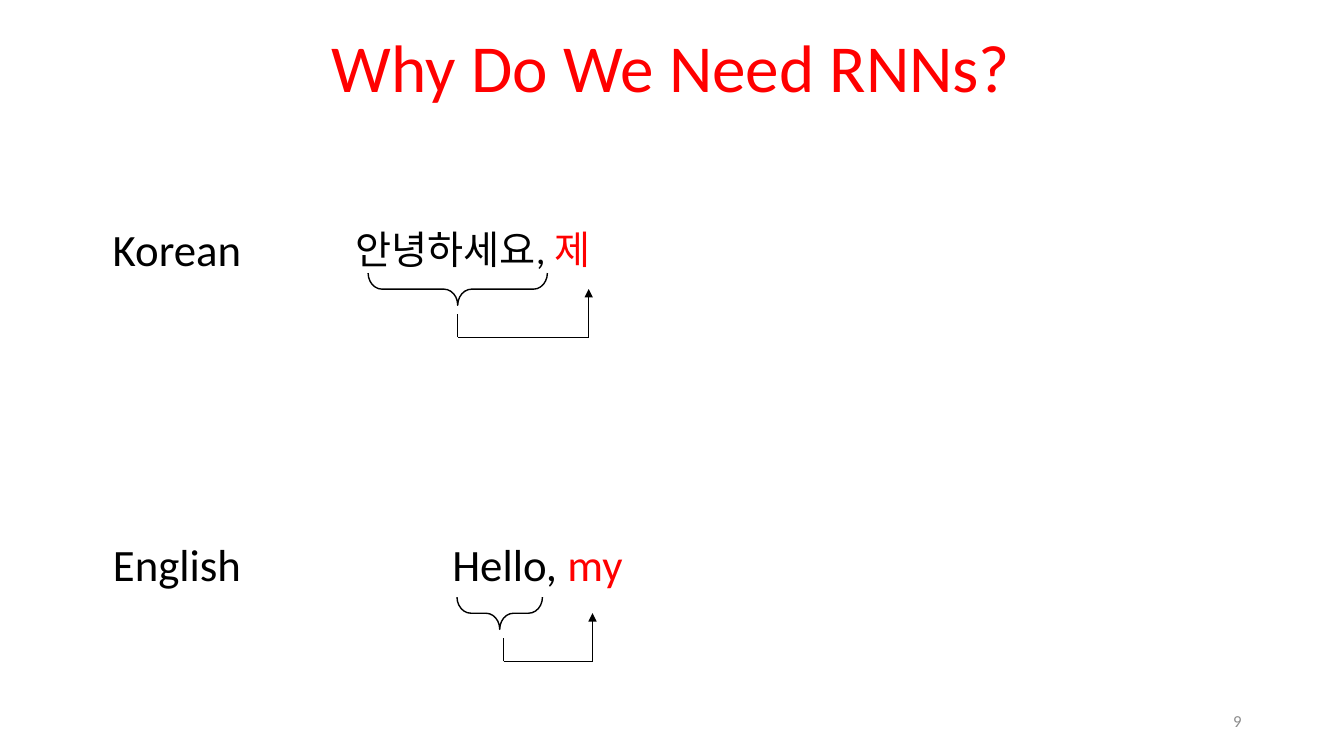
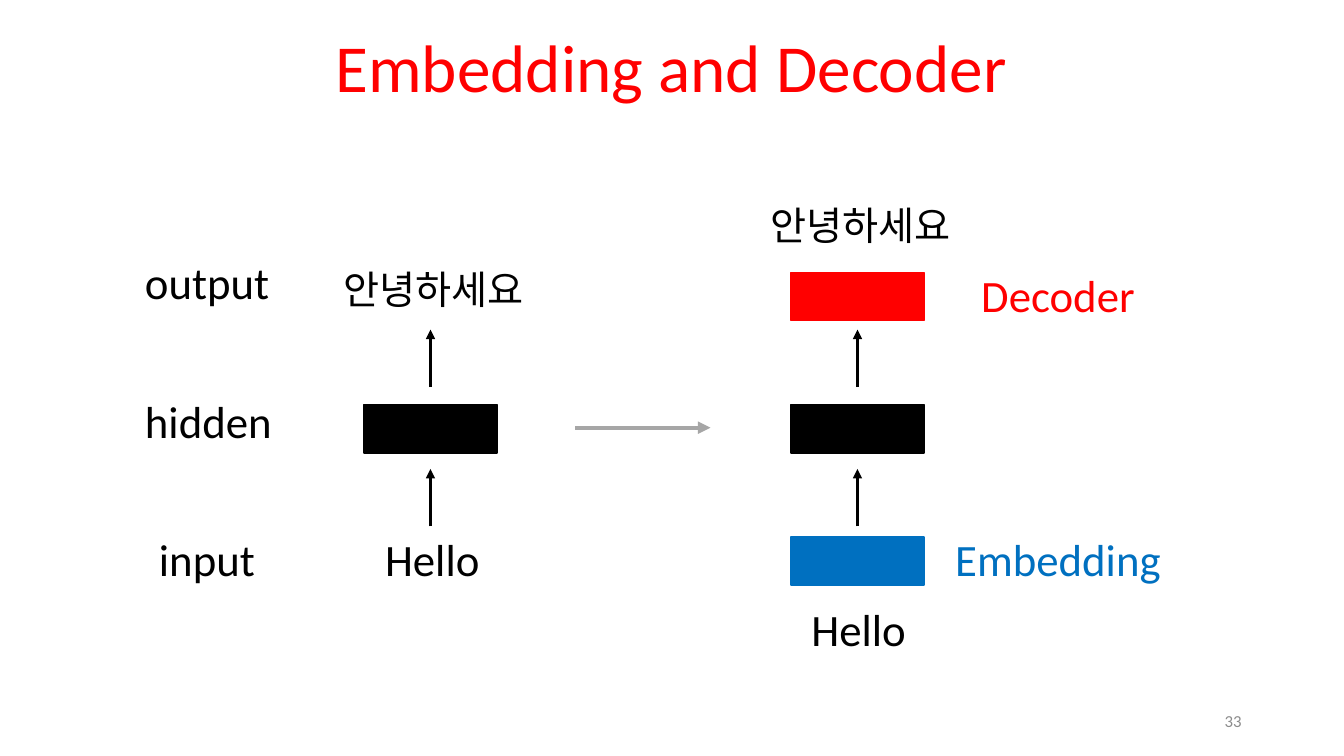
from dataclasses import dataclass

import pptx
import pptx.dml.color
import pptx.enum.shapes
import pptx.enum.text
import pptx.oxml.ns
import pptx.slide
import pptx.util
from lxml import etree

Pt = pptx.util.Pt
RGB = pptx.dml.color.RGBColor
Align = pptx.enum.text.PP_ALIGN
Anchor = pptx.enum.text.MSO_ANCHOR
Fit = pptx.enum.text.MSO_AUTO_SIZE
Shape = pptx.enum.shapes.MSO_SHAPE
Slide = pptx.slide.Slide
qn = pptx.oxml.ns.qn

BLACK = RGB(0x00, 0x00, 0x00)
RED = RGB(0xFF, 0x00, 0x00)
BLUE = RGB(0x00, 0x70, 0xC0)
GRAY = RGB(0xA6, 0xA6, 0xA6)
DIM = RGB(0x8C, 0x8C, 0x8C)
FONT = "Calibri"

BOX_W, BOX_H = 95, 34.5
BOX_TOP, BOX_STEP = 194.5, 94.5
LABEL_TOP, LABEL_STEP = 178.5, 99
ARROW_TOP, ARROW_STEP, ARROW_LEN = 235.5, 99.5, 41
FLOW_X, NET_X = 307.5, 612.5


@dataclass
class Phrase:
    """One sentence with a brace under the known words and a hook to the next."""
    label: str
    label_top: float
    known: str
    word: str
    left: float
    top: float
    width: float
    size: float
    brace_x: float
    brace_y: float
    span: float
    stem_x: float
    tip_x: float


@dataclass
class Note:
    words: str
    left: float
    top: float
    width: float
    size: float = 32
    color: RGB = BLACK
    align: Align = Align.LEFT


PHRASES = [
    Phrase("Korean", 155, "안녕하세요, ", "제", 247, 157.5, 464.5, 28,
           327, 206.5, 128, 327, 420.5),
    Phrase("English", 380, "Hello, ", "my", 316, 380, 327.5, 32,
           357, 438, 61, 359.75, 423.25),
]

NOTES = [
    Note("Hello", 268, 376.5, 83.5),
    Note("안녕하세요", 232, 186, 156, 28, align=Align.CENTER),
    Note("Hello", 572.5, 426, 83.5),
    Note("안녕하세요", 536.5, 140.5, 156, 28, align=Align.CENTER),
    Note("Embedding", 674.5, 376, 162.5, color=BLUE, align=Align.CENTER),
    Note("Decoder", 674.5, 188, 162.5, color=RED, align=Align.CENTER),
]

LABELS = [("output", 96.5, 108.5), ("hidden", 96.5, 108.5), ("input", 106.5, 83.5)]


def add_text(slide: Slide, *runs: tuple[str, RGB], left: float, top: float,
             width: float, height: float = 46, size: float = 32,
             align: Align = Align.LEFT, anchor: Anchor = Anchor.TOP,
             grow: bool = True, space: float = 1.0) -> None:
    """Put one paragraph of coloured runs in a text box."""
    box = slide.shapes.add_textbox(Pt(left), Pt(top), Pt(width), Pt(height))
    frame = box.text_frame
    frame.word_wrap = True
    frame.auto_size = Fit.SHAPE_TO_FIT_TEXT if grow else Fit.NONE
    frame.vertical_anchor = anchor
    para = frame.paragraphs[0]
    para.alignment = align
    para.line_spacing = space
    for words, color in runs:
        run = para.add_run()
        run.text = words
        run.font.name = FONT
        run.font.size = Pt(size)
        run.font.color.rgb = color


def add_line(slide: Slide, start: tuple[float, float], end: tuple[float, float],
             color: RGB = BLACK, weight: float = 1, head: bool = False) -> None:
    line = slide.shapes.add_connector(
        pptx.enum.shapes.MSO_CONNECTOR.STRAIGHT,
        Pt(start[0]), Pt(start[1]), Pt(end[0]), Pt(end[1]))
    line.line.color.rgb = color
    line.line.width = Pt(weight)
    props = line.element.spPr
    if head:
        etree.SubElement(props.find(qn("a:ln")), qn("a:tailEnd"), type="triangle")
    etree.SubElement(props, qn("a:effectLst"))


def add_box(slide: Slide, mid: float, row: int, color: RGB) -> None:
    box = slide.shapes.add_shape(
        Shape.RECTANGLE, Pt(mid - BOX_W / 2), Pt(BOX_TOP + row * BOX_STEP),
        Pt(BOX_W), Pt(BOX_H))
    box.shadow.inherit = False
    box.fill.solid()
    box.fill.fore_color.rgb = color
    box.line.color.rgb = color
    box.line.width = Pt(1)


def add_brace(slide: Slide, mid: float, level: float, span: float) -> None:
    """Draw a brace that opens upward, centred on the given point."""
    depth = 23
    brace = slide.shapes.add_shape(
        Shape.LEFT_BRACE, Pt(mid - depth / 2), Pt(level - span / 2),
        Pt(depth), Pt(span))
    brace.rotation = 270
    brace.adjustments[0] = 0.43
    brace.adjustments[1] = 0.5
    brace.shadow.inherit = False
    brace.fill.background()
    brace.line.color.rgb = BLACK
    brace.line.width = Pt(1)


def add_phrase(slide: Slide, item: Phrase) -> None:
    add_text(slide, (item.label, BLACK), left=70, top=item.label_top, width=113,
             align=Align.CENTER)
    add_text(slide, (item.known, BLACK), (item.word, RED), left=item.left,
             top=item.top, width=item.width, size=item.size)
    add_brace(slide, item.brace_x, item.brace_y, item.span)
    base = item.brace_y + 34.5
    add_line(slide, (item.stem_x, base), (item.stem_x, base - 17))
    add_line(slide, (item.stem_x, base), (item.tip_x, base))
    add_line(slide, (item.tip_x, base), (item.tip_x, item.brace_y), head=True)


def add_page(deck: pptx.presentation.Presentation, title: str, number: int) -> Slide:
    """Add a blank slide with the shared title and page number."""
    slide = deck.slides.add_slide(deck.slide_layouts[6])
    add_text(slide, (str(number), DIM), left=678, top=500.5, width=216, height=29,
             size=12, align=Align.RIGHT, anchor=Anchor.MIDDLE, grow=False)
    add_text(slide, (title, RED), left=65.5, top=1.5, width=828, height=78.5,
             size=48, align=Align.CENTER, anchor=Anchor.BOTTOM, grow=False,
             space=0.9)
    return slide


def draw_need(slide: Slide) -> None:
    for item in PHRASES:
        add_phrase(slide, item)


def draw_net(slide: Slide) -> None:
    for row, (words, left, width) in enumerate(LABELS):
        add_text(slide, (words, BLACK), left=left,
                 top=LABEL_TOP + row * LABEL_STEP, width=width)
    for note in NOTES:
        add_text(slide, (note.words, note.color), left=note.left, top=note.top,
                 width=note.width, size=note.size, align=note.align)
    add_box(slide, FLOW_X, 1, BLACK)
    for row, color in enumerate((RED, BLACK, BLUE)):
        add_box(slide, NET_X, row, color)
    for mid in (FLOW_X, NET_X):
        for row in range(2):
            tip = ARROW_TOP + row * ARROW_STEP
            add_line(slide, (mid, tip + ARROW_LEN), (mid, tip), weight=2.25, head=True)
    add_line(slide, (411, 305.5), (507.5, 305.5), color=GRAY, weight=3, head=True)


def main() -> None:
    deck = pptx.Presentation()
    deck.slide_width, deck.slide_height = Pt(960), Pt(540)
    draw_need(add_page(deck, "Why Do We Need RNNs?", 9))
    draw_net(add_page(deck, "Embedding and Decoder", 33))
    deck.save("out.pptx")


if __name__ == "__main__":
    main()
